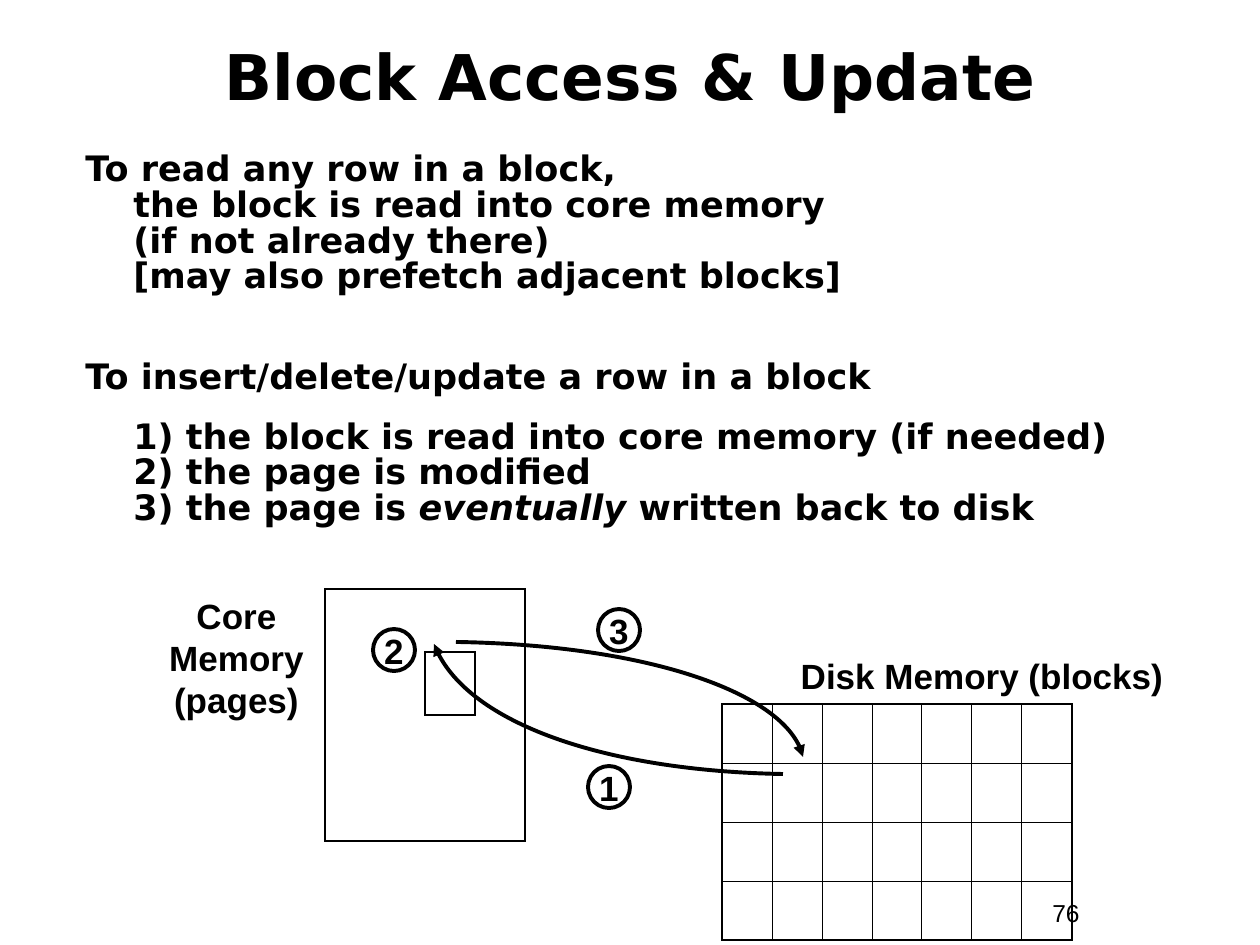
from lxml.etree import SubElement
from pptx import Presentation
from pptx.dml.color import RGBColor
from pptx.enum.shapes import MSO_SHAPE
from pptx.enum.text import MSO_ANCHOR, PP_ALIGN
from pptx.oxml.ns import qn
from pptx.util import Emu, Pt

SCALE = 914400 / 126
COLORS = {"ink": "000000"}
SIDES = {"lnL": (0, -1), "lnR": (0, 1), "lnT": (-1, 0), "lnB": (1, 0)}


def px(n):
    return Emu(round(n * SCALE))


def color(name):
    return RGBColor.from_string(COLORS[name])


def write(frame, paras, font="Arial", size=20, bold=True, align=PP_ALIGN.LEFT,
          anchor=MSO_ANCHOR.TOP, wrap=True, lead=1.0, gaps=(0,), dents=((0, 0),)):
    frame.word_wrap = wrap
    frame.vertical_anchor = anchor
    frame.margin_left = frame.margin_right = Pt(7.2)
    frame.margin_top = frame.margin_bottom = Pt(3.6)
    for i, (lines, gap, (left, first)) in enumerate(zip(paras, gaps, dents)):
        para = frame.paragraphs[0] if i == 0 else frame.add_paragraph()
        props = para._p.get_or_add_pPr()
        props.set("marL", str(px(left)))
        props.set("indent", str(px(first)))
        para.alignment = align
        para.line_spacing = lead
        para.space_before = Pt(gap)
        for j, line in enumerate(lines.split("\n")):
            if j:
                para.add_line_break()
            for k, part in enumerate(line.split("*")):
                if not part:
                    continue
                run = para.add_run()
                run.text = part
                run.font.name = font
                run.font.size = Pt(size)
                run.font.bold = bold
                run.font.italic = k % 2 == 1
                run.font.color.rgb = color("ink")


class Deck:
    thin, edge, bold = 0.45, 1.08, 2.25

    def __init__(self):
        self.file = Presentation()
        self.file.slide_width, self.file.slide_height = px(1260), px(945)
        self.slide = self.file.slides.add_slide(self.file.slide_layouts[6])

    def text(self, box, *paras, **style):
        shape = self.slide.shapes.add_textbox(*map(px, box))
        write(shape.text_frame, paras, **style)

    def stroke(self, shape):
        shape.shadow.inherit = False
        shape.fill.background()
        shape.line.color.rgb = color("ink")
        shape.line.width = Pt(self.bold)

    def badge(self, left, top, label):
        shape = self.slide.shapes.add_shape(
            MSO_SHAPE.OVAL, px(left), px(top), px(42), px(42))
        self.stroke(shape)
        write(shape.text_frame, [label], align=PP_ALIGN.CENTER,
              anchor=MSO_ANCHOR.MIDDLE, wrap=False)

    def border(self, cell, side, width):
        props = cell._tc.get_or_add_tcPr()
        line = SubElement(props, qn(f"a:{side}"), w=str(Pt(width)))
        if width:
            fill = SubElement(line, qn("a:solidFill"))
            SubElement(fill, qn("a:srgbClr"), val=COLORS["ink"])
        else:
            SubElement(line, qn("a:noFill"))

    def grid(self, left, top, rows, cols, wide, high, inner=0, marks=()):
        table = self.slide.shapes.add_table(
            rows, cols, px(left), px(top), px(cols * wide), px(rows * high)).table
        table.first_row = table.horz_banding = False
        for col in table.columns:
            col.width = px(wide)
        for r, row in enumerate(table.rows):
            row.height = px(high)
            for c, cell in enumerate(row.cells):
                for side, (down, over) in SIDES.items():
                    y, x = r + down, c + over
                    outer = not (0 <= y < rows and 0 <= x < cols)
                    mark = (r, c) in marks or (y, x) in marks
                    self.border(cell, side, self.edge if outer or mark else inner)
                cell.fill.background()

    def curve(self, start, *bends):
        end = bends[-1]
        pen = self.slide.shapes.build_freeform(*map(px, start), scale=1.0)
        pen.add_line_segments([tuple(map(px, end))], close=False)
        shape = pen.convert_to_shape()
        self.stroke(shape)
        left, top = min(start[0], end[0]), min(start[1], end[1])
        step = next(shape._element.iter(qn("a:lnTo")))
        step.clear()
        step.tag = qn("a:cubicBezTo")
        for x, y in bends:
            SubElement(step, qn("a:pt"), x=str(px(x - left)), y=str(px(y - top)))
        SubElement(shape.line._get_or_add_ln(), qn("a:tailEnd"), type="triangle")


def main():
    deck = Deck()
    deck.text((1040, 892, 116, 43), "76", size=14, bold=False)
    deck.text((42, 28, 1176, 95), "Block Access & Update", font="DejaVu Sans",
              size=36, align=PP_ALIGN.CENTER, anchor=MSO_ANCHOR.MIDDLE)
    deck.text(
        (73, 147, 1071, 410),
        "To read any row in a block,\nthe block is read into core memory\n"
        "(if not already there)\n[may also prefetch adjacent blocks]",
        "To insert/delete/update a row in a block",
        "1) the block is read into core memory (if needed)\n"
        "2) the page is modified\n"
        "3) the page is *eventually* written back to disk",
        font="DejaVu Sans", lead=0.85, gaps=(0, 37, 13.8),
        dents=((48, -48), (48, -48), (48, 0)))
    deck.grid(722, 704, 4, 7, 50, 59, inner=deck.thin)
    deck.text((147, 588, 179, 139), "Core\nMemory\n(pages)", align=PP_ALIGN.CENTER)
    deck.text((777, 648, 410, 55), "Disk Memory (blocks)", align=PP_ALIGN.CENTER)
    deck.grid(325, 589, 4, 4, 50, 63, marks={(1, 2)})
    deck.curve((456, 642), (642, 645), (790, 695), (803, 757))
    deck.curve((783, 774), (610, 771), (463, 722), (434, 644))
    for left, top, label in ((588, 766, "1"), (598, 609, "3"), (373, 629, "2")):
        deck.badge(left, top, label)
    deck.file.save("out.pptx")


if __name__ == "__main__":
    main()
